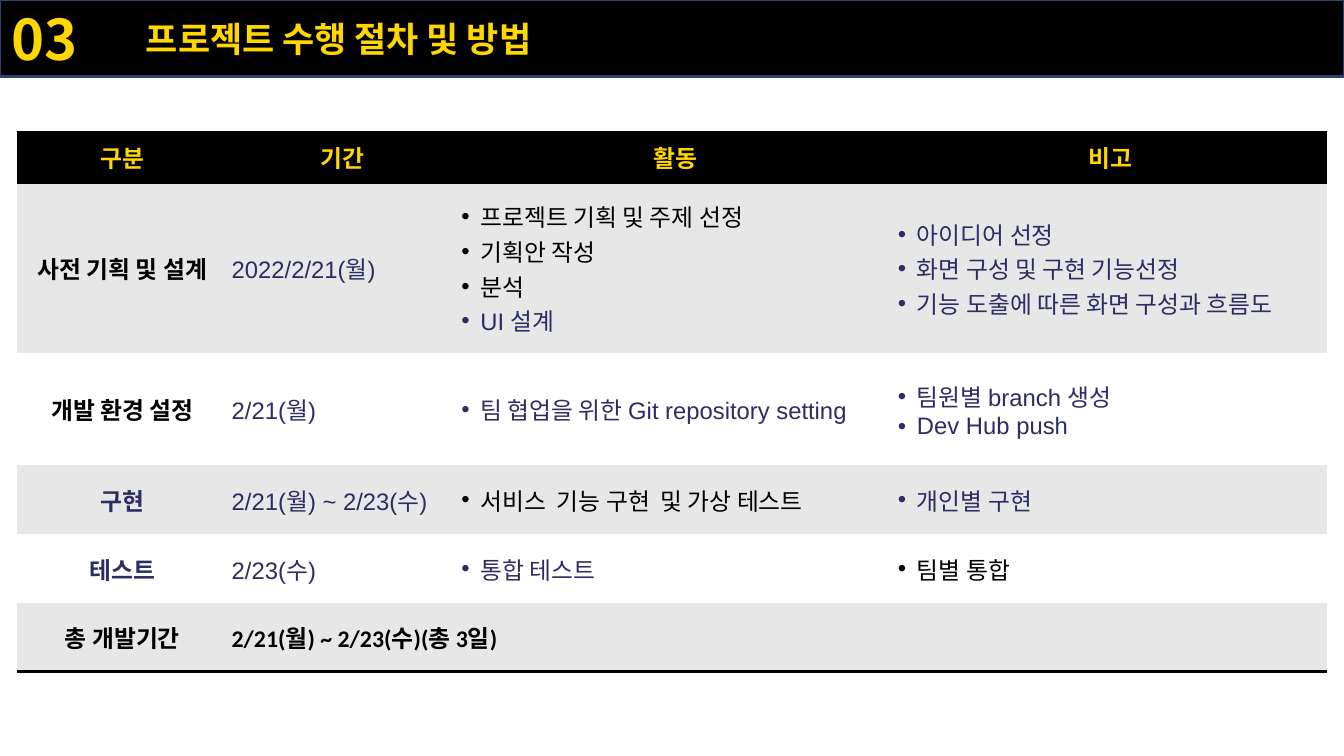
from lxml import etree
from pptx import Presentation
from pptx.dml.color import RGBColor
from pptx.enum.shapes import MSO_SHAPE
from pptx.enum.text import MSO_ANCHOR, PP_ALIGN
from pptx.oxml import parse_xml
from pptx.oxml.ns import nsdecls, qn
from pptx.util import Cm, Pt

BLACK, GOLD, NAVY, GREY, WHITE = "000000", "FFD700", "2B2D63", "E7E7E7", "FFFFFF"
KOREAN = "Noto Sans CJK KR"


def color(value):
    return RGBColor.from_string(value)


def style(para, size, face, ink, bold):
    for span in para.runs:
        span.font.size = Pt(size)
        span.font.name = face
        span.font.bold = bold
        span.font.color.rgb = color(ink)
        east_asian = etree.SubElement(span.font._element, qn("a:ea"))
        east_asian.set("typeface", KOREAN)


deck = Presentation()
deck.slide_width, deck.slide_height = Cm(33.87), Cm(19.05)
page = deck.slides.add_slide(deck.slide_layouts[6])

# Title band
band = page.shapes.add_shape(MSO_SHAPE.RECTANGLE, 0, 0, deck.slide_width, Cm(1.93))
band.shadow.inherit = False
band.fill.solid()
band.fill.fore_color.rgb = color(BLACK)
band.line.color.rgb = color("30416A")
band.line.width = Pt(1.5)

# Section number and title
for text, left, top, width, height, size, face in [
    ("03", 0.05, 0, 3.23, 1.93, 40, KOREAN),
    ("프로젝트 수행 절차 및 방법", 3.43, 0.33, 11.6, 1.3, 25, "Calibri"),
]:
    box = page.shapes.add_textbox(Cm(left), Cm(top), Cm(width), Cm(height))
    frame = box.text_frame
    frame.word_wrap = True
    frame.vertical_anchor = MSO_ANCHOR.MIDDLE
    frame.text = text
    style(frame.paragraphs[0], size, face, GOLD, True)

# Schedule: one list of lines per cell, each line with its colour
schedule = [
    [[(name, GOLD)] for name in ("구분", "기간", "활동", "비고")],
    [
        [("사전 기획 및 설계", BLACK)],
        [("2022/2/21(월)", NAVY)],
        [("프로젝트 기획 및 주제 선정", BLACK), ("기획안 작성", BLACK),
         ("분석", BLACK), ("UI 설계", NAVY)],
        [("아이디어 선정", NAVY), ("화면 구성 및 구현 기능선정", NAVY),
         ("기능 도출에 따른 화면 구성과 흐름도", NAVY)],
    ],
    [
        [("개발 환경 설정", BLACK)],
        [("2/21(월)", NAVY)],
        [("팀 협업을 위한 Git repository setting", NAVY)],
        [("팀원별 branch 생성", NAVY), ("Dev Hub push", NAVY)],
    ],
    [
        [("구현", NAVY)],
        [("2/21(월) ~ 2/23(수)", NAVY)],
        [("서비스  기능 구현  및 가상 테스트", BLACK)],
        [("개인별 구현", NAVY)],
    ],
    [
        [("테스트", NAVY)],
        [("2/23(수)", NAVY)],
        [("통합 테스트", NAVY)],
        [("팀별 통합", BLACK)],
    ],
    [[("총 개발기간", BLACK)], [("2/21(월) ~ 2/23(수)(총 3일)", BLACK)], [], []],
]
column_widths = [5.31, 5.79, 11.0, 10.9]
row_heights = [1.33, 4.27, 2.82, 1.74, 1.74, 1.72]
last_row = len(schedule) - 1

graphic = page.shapes.add_table(
    len(row_heights), len(column_widths), Cm(0.43), Cm(3.3),
    Cm(sum(column_widths)), Cm(sum(row_heights)))
table = graphic.table
table.horz_banding = False
# Table style without grid lines
table._tbl.tblPr.find(qn("a:tableStyleId")).text = "{2D5ABB26-0587-4C30-8999-92F81FD0307C}"
for column, width in zip(table.columns, column_widths):
    column.width = Cm(width)
for row, height in zip(table.rows, row_heights):
    row.height = Cm(height)
table.cell(last_row, 1).merge(table.cell(last_row, 3))

for r, cells in enumerate(schedule):
    for c, lines in enumerate(cells):
        cell = table.cell(r, c)
        cell.vertical_anchor = MSO_ANCHOR.MIDDLE
        cell.fill.solid()
        cell.fill.fore_color.rgb = color(BLACK if r == 0 else GREY if r % 2 else WHITE)
        centered = r == 0 or c == 0
        if not centered:
            cell.margin_left = Cm(0.1)
            cell.margin_right = cell.margin_top = cell.margin_bottom = 0

        # Closing rule under the table
        if r == last_row:
            rule = parse_xml(
                f'<a:lnB {nsdecls("a")} w="28575"><a:solidFill>'
                f'<a:srgbClr val="{BLACK}"/></a:solidFill></a:lnB>')
            cell._tc.get_or_add_tcPr().insert(0, rule)

        # Cell text, with bullets in the last two columns
        cell.text_frame.text = "\n".join(text for text, ink in lines)
        bold = centered or r == last_row
        for para, (text, ink) in zip(cell.text_frame.paragraphs, lines):
            face = "Arial" if ink == NAVY else "Calibri"
            style(para, 17, face, ink, bold)
            para.alignment = PP_ALIGN.CENTER if centered else PP_ALIGN.LEFT
            if not centered and c >= 2:
                settings = para._p.get_or_add_pPr()
                settings.set("marL", str(Cm(0.48)))
                settings.set("indent", str(-Cm(0.48)))
                etree.SubElement(settings, qn("a:buFont")).set("typeface", "Arial")
                etree.SubElement(settings, qn("a:buChar")).set("char", "•")

deck.save("out.pptx")
